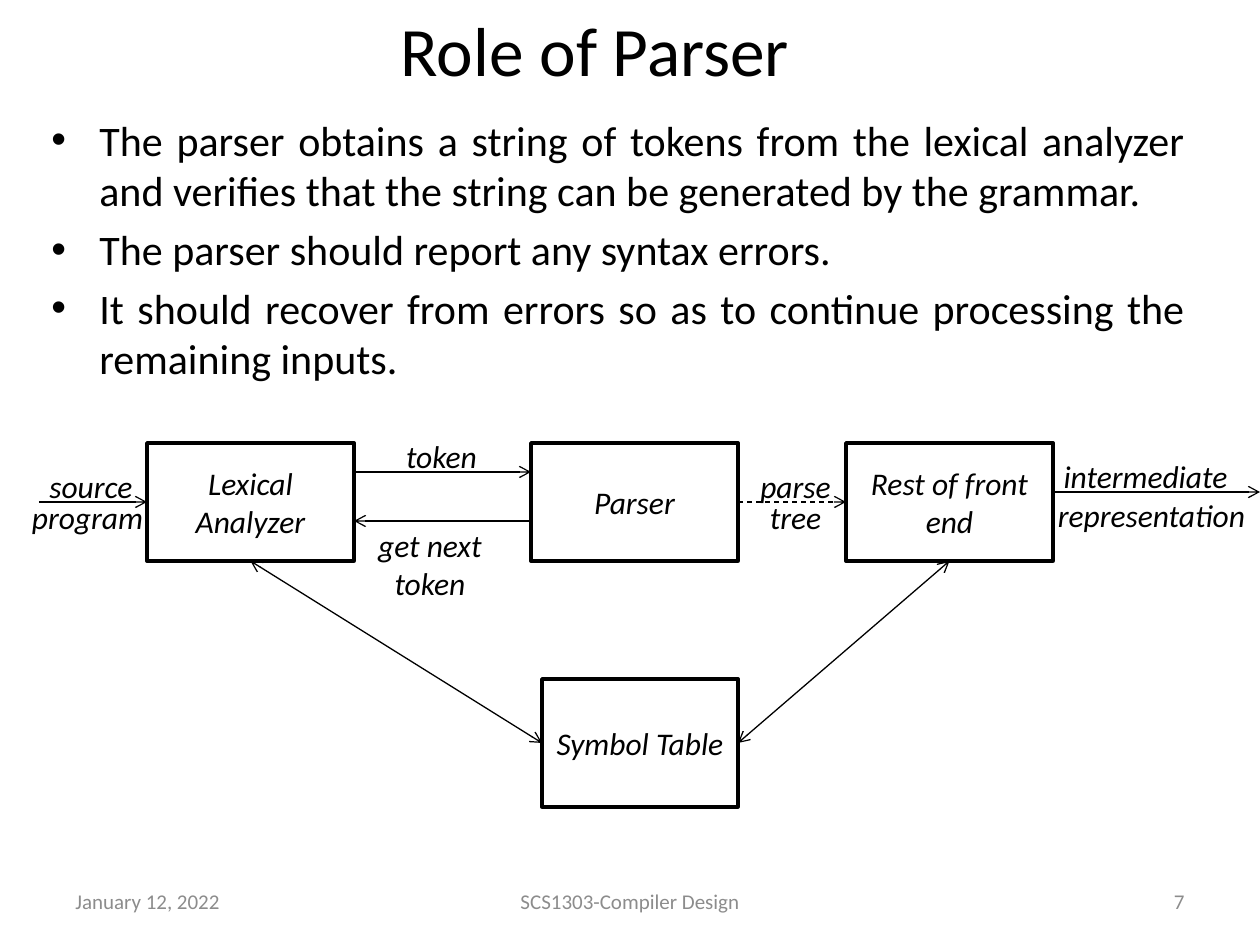
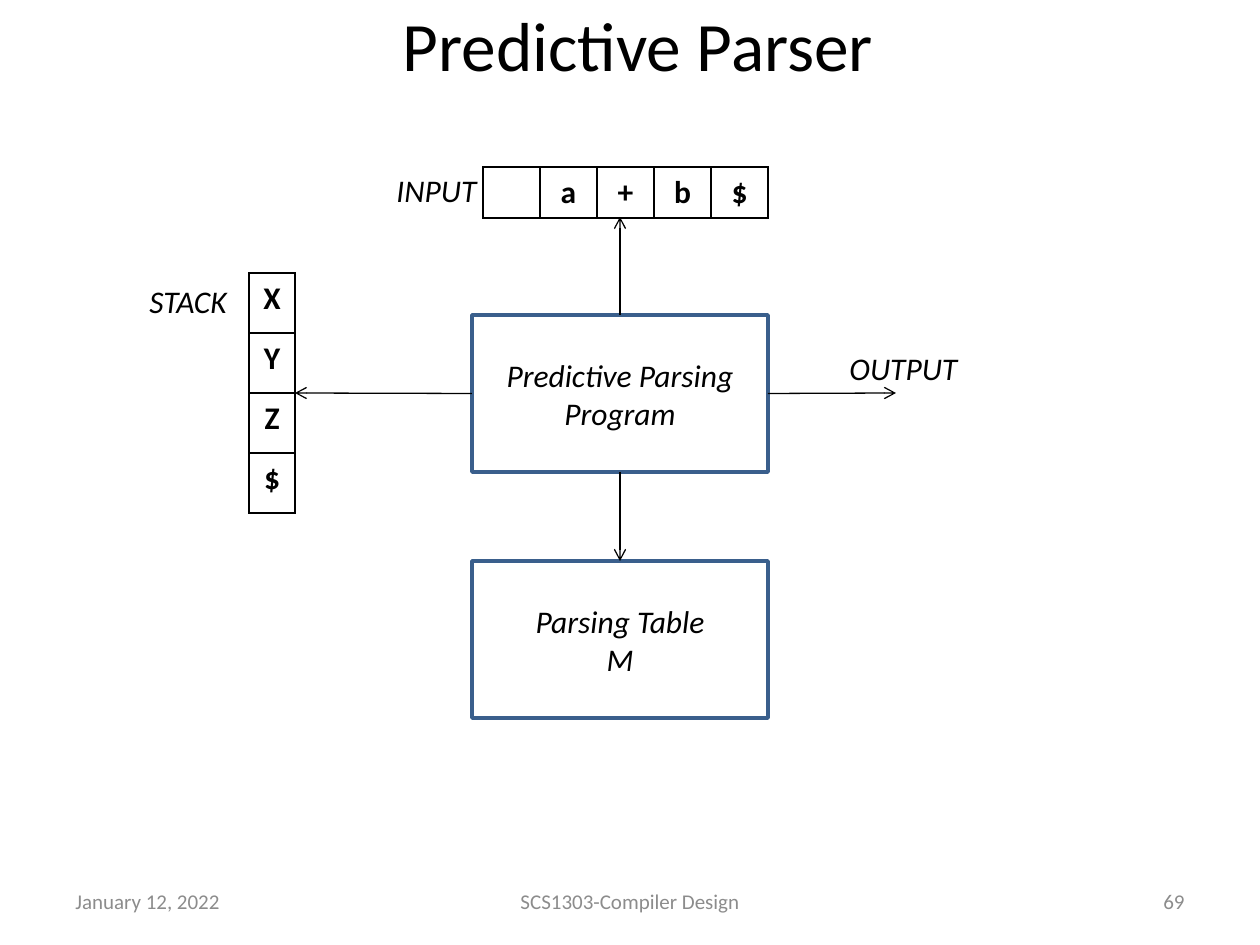
from lxml.etree import SubElement
from pptx import Presentation
from pptx.dml.color import RGBColor
from pptx.enum.dml import MSO_LINE
from pptx.enum.shapes import MSO_CONNECTOR, MSO_SHAPE
from pptx.enum.text import MSO_ANCHOR, PP_ALIGN
from pptx.oxml.ns import qn
from pptx.util import Emu, Pt

EMU_PER_PX = 914400 / 126
FONT = "Calibri"
BLACK, WHITE, GREY, BLUE = "000000", "FFFFFF", "8C8C8C", "3A5F8C"
LEFT, CENTER, RIGHT = PP_ALIGN.LEFT, PP_ALIGN.CENTER, PP_ALIGN.RIGHT
TOP_SIDE, LEFT_SIDE, BOTTOM_SIDE, RIGHT_SIDE = range(4)

DATE, COURSE = "January 12, 2022", "SCS1303-Compiler Design"

# Boxes: (text, (left, top, width, height)).
# Arrows: (start, end, style); an end is a point or (box text, side).
# Labels: (text, left, top, width, alignment).
ROLE = {
    "title": ("Role of Parser", (137, 0, 916, 98)),
    "page": "7",
    "bullets": [
        "The parser obtains a string of tokens from the lexical analyzer "
        "and verifies that the string can be generated by the grammar.",
        "The parser should report any syntax errors.",
        "It should recover from errors so as to continue processing "
        "the remaining inputs.",
    ],
    "box_line": BLACK,
    "boxes": [
        ("Lexical Analyzer", (147, 443, 207, 118)),
        ("Parser", (531, 443, 207, 118)),
        ("Rest of front end", (846, 443, 207, 118)),
        ("Symbol Table", (542, 679, 196, 128)),
    ],
    "arrows": [
        ((39, 502), ("Lexical Analyzer", LEFT_SIDE), "single"),
        (("Parser", RIGHT_SIDE), ("Rest of front end", LEFT_SIDE), "dashed"),
        ((1053, 492), (1260, 492), "single"),
        ((354, 472), (531, 472), "single"),
        ((531, 521), (354, 521), "single"),
        (("Lexical Analyzer", BOTTOM_SIDE), ("Symbol Table", LEFT_SIDE), "double"),
        (("Symbol Table", RIGHT_SIDE), ("Rest of front end", BOTTOM_SIDE), "double"),
    ],
    "labels": [
        ("source", 27, 461, 128, CENTER),
        ("program", 14, 492, 147, CENTER),
        ("token", 368, 431, 147, CENTER),
        ("get next token", 337, 520, 186, CENTER),
        ("parse", 722, 461, 147, CENTER),
        ("tree", 722, 492, 147, CENTER),
        ("intermediate", 1047, 451, 197, CENTER),
        ("representation", 1043, 490, 217, CENTER),
    ],
    "tables": [],
}

PREDICTIVE = {
    "title": ("Predictive Parser", (8, 0, 1260, 88)),
    "page": "69",
    "bullets": [],
    "box_line": BLUE,
    "boxes": [
        ("Predictive Parsing Program", (472, 315, 296, 157)),
        ("Parsing Table\nM", (472, 561, 296, 157)),
    ],
    "arrows": [
        (("Predictive Parsing Program", TOP_SIDE), (620, 217), "single"),
        (("Predictive Parsing Program", LEFT_SIDE), (295, 393), "single"),
        (("Predictive Parsing Program", BOTTOM_SIDE),
         ("Parsing Table\nM", TOP_SIDE), "single"),
        (("Predictive Parsing Program", RIGHT_SIDE), (896, 393), "single"),
    ],
    "labels": [
        ("OUTPUT", 837, 343, 168, LEFT),
        ("INPUT", 384, 165, 108, LEFT),
        ("STACK", 137, 276, 118, LEFT),
    ],
    # Tables: (rows, left, top, column width, row height).
    "tables": [
        ([["", "a", "+", "b", "$"]], 483, 167, 57, 51),
        ([["X"], ["Y"], ["Z"], ["$"]], 249, 273, 46, 60),
    ],
}


def px(*lengths):
    return [Emu(round(length * EMU_PER_PX)) for length in lengths]


def rgb(hex_color):
    return RGBColor.from_string(hex_color)


def write(frame, text, size, align=LEFT, color=BLACK, anchor=MSO_ANCHOR.TOP,
          italic=False):
    frame.word_wrap = True
    frame.vertical_anchor = anchor
    frame.text = text
    for paragraph in frame.paragraphs:
        style(paragraph, size, align, color, italic=italic)


def style(paragraph, size, align, color=BLACK, italic=False, bold=False):
    paragraph.alignment = align
    font = paragraph.font
    font.name, font.size = FONT, Pt(size)
    font.italic, font.bold = italic, bold
    font.color.rgb = rgb(color)
    for run in paragraph.runs:
        run.font.name, run.font.size = FONT, Pt(size)
        run.font.italic, run.font.bold = italic, bold
        run.font.color.rgb = rgb(color)


def add_text(slide, text, place, size, **look):
    frame = slide.shapes.add_textbox(*px(*place)).text_frame
    write(frame, text, size, **look)
    return frame


def add_frame(slide, title, page):
    """Title and footer, shared by every slide."""
    text, place = title
    add_text(slide, text, place, 39.6, align=CENTER, anchor=MSO_ANCHOR.MIDDLE)
    for footer, left, width, align in [
        (DATE, 63, 294, LEFT), (COURSE, 430, 400, CENTER), (page, 903, 294, RIGHT),
    ]:
        add_text(slide, footer, (left, 876, width, 50), 12, align=align,
                 color=GREY, anchor=MSO_ANCHOR.MIDDLE)


def add_bullets(slide, points):
    frame = slide.shapes.add_textbox(*px(39, 108, 1158, 758)).text_frame
    frame.word_wrap = True
    frame.text = "\n".join(points)
    indent = px(48)[0]
    for i, paragraph in enumerate(frame.paragraphs):
        if i:
            paragraph.space_before = Pt(4.8)
        properties = paragraph._p.get_or_add_pPr()
        properties.set("marL", str(indent))
        properties.set("indent", str(-indent))
        SubElement(properties, qn("a:buFont"), typeface="Arial")
        SubElement(properties, qn("a:buChar"), char="•")
        style(paragraph, 24, PP_ALIGN.JUSTIFY)


def add_box(slide, text, place, line_color):
    box = slide.shapes.add_shape(MSO_SHAPE.RECTANGLE, *px(*place))
    box.shadow.inherit = False
    box.fill.solid()
    box.fill.fore_color.rgb = rgb(WHITE)
    box.line.color.rgb = rgb(line_color)
    box.line.width = Pt(2)
    write(box.text_frame, text, 18, align=CENTER, anchor=MSO_ANCHOR.MIDDLE,
          italic=True)
    return box


def add_arrow(slide, boxes, start, end, kind):
    joined = [isinstance(tip[0], str) for tip in (start, end)]
    points = [(0, 0) if glued else tip for glued, tip in zip(joined, (start, end))]
    arrow = slide.shapes.add_connector(
        MSO_CONNECTOR.STRAIGHT, *px(*points[0], *points[1]))
    if joined[0]:
        arrow.begin_connect(boxes[start[0]], start[1])
    if joined[1]:
        arrow.end_connect(boxes[end[0]], end[1])
    arrow.line.color.rgb = rgb(BLACK)
    arrow.line.width = Pt(0.75)
    if kind == "dashed":
        arrow.line.dash_style = MSO_LINE.DASH
    properties = arrow._element.spPr
    line = properties.find(qn("a:ln"))
    if kind == "double":
        SubElement(line, qn("a:headEnd"), type="arrow")
    SubElement(line, qn("a:tailEnd"), type="arrow")
    SubElement(properties, qn("a:effectLst"))


def add_cells(slide, rows, left, top, column_width, row_height):
    row_count, column_count = len(rows), len(rows[0])
    table = slide.shapes.add_table(
        row_count, column_count,
        *px(left, top, column_width * column_count, row_height * row_count)).table
    table.first_row = table.horz_banding = False
    for column in table.columns:
        column.width = px(column_width)[0]
    for row, symbols in zip(table.rows, rows):
        row.height = px(row_height)[0]
        for cell, symbol in zip(row.cells, symbols):
            cell.text = symbol
            style(cell.text_frame.paragraphs[0], 18, CENTER, bold=True)
            add_borders(cell)
            cell.fill.solid()
            cell.fill.fore_color.rgb = rgb(WHITE)


def add_borders(cell):
    properties = cell._tc.get_or_add_tcPr()
    for side in ("lnL", "lnR", "lnT", "lnB"):
        border = SubElement(properties, qn(f"a:{side}"), w=str(Pt(1)))
        fill = SubElement(border, qn("a:solidFill"))
        SubElement(fill, qn("a:srgbClr"), val=BLACK)


def build(presentation, content):
    slide = presentation.slides.add_slide(presentation.slide_layouts[6])
    add_frame(slide, content["title"], content["page"])
    if content["bullets"]:
        add_bullets(slide, content["bullets"])
    for table in content["tables"]:
        add_cells(slide, *table)
    boxes = {text: add_box(slide, text, place, content["box_line"])
             for text, place in content["boxes"]}
    for arrow in content["arrows"]:
        add_arrow(slide, boxes, *arrow)
    for text, left, top, width, align in content["labels"]:
        add_text(slide, text, (left, top, width, 50), 18, align=align, italic=True)


def main():
    presentation = Presentation()
    presentation.slide_width, presentation.slide_height = px(1260, 945)
    for content in (ROLE, PREDICTIVE):
        build(presentation, content)
    presentation.save("out.pptx")


if __name__ == "__main__":
    main()
